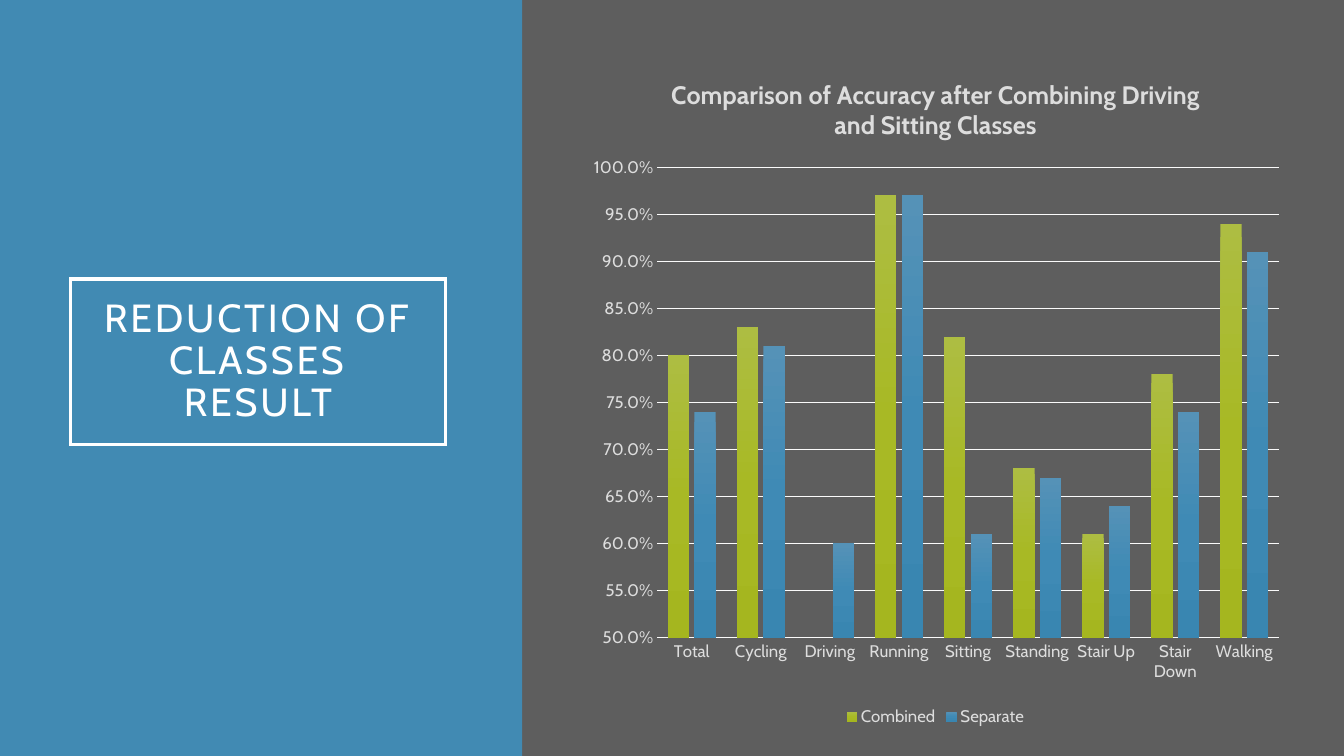
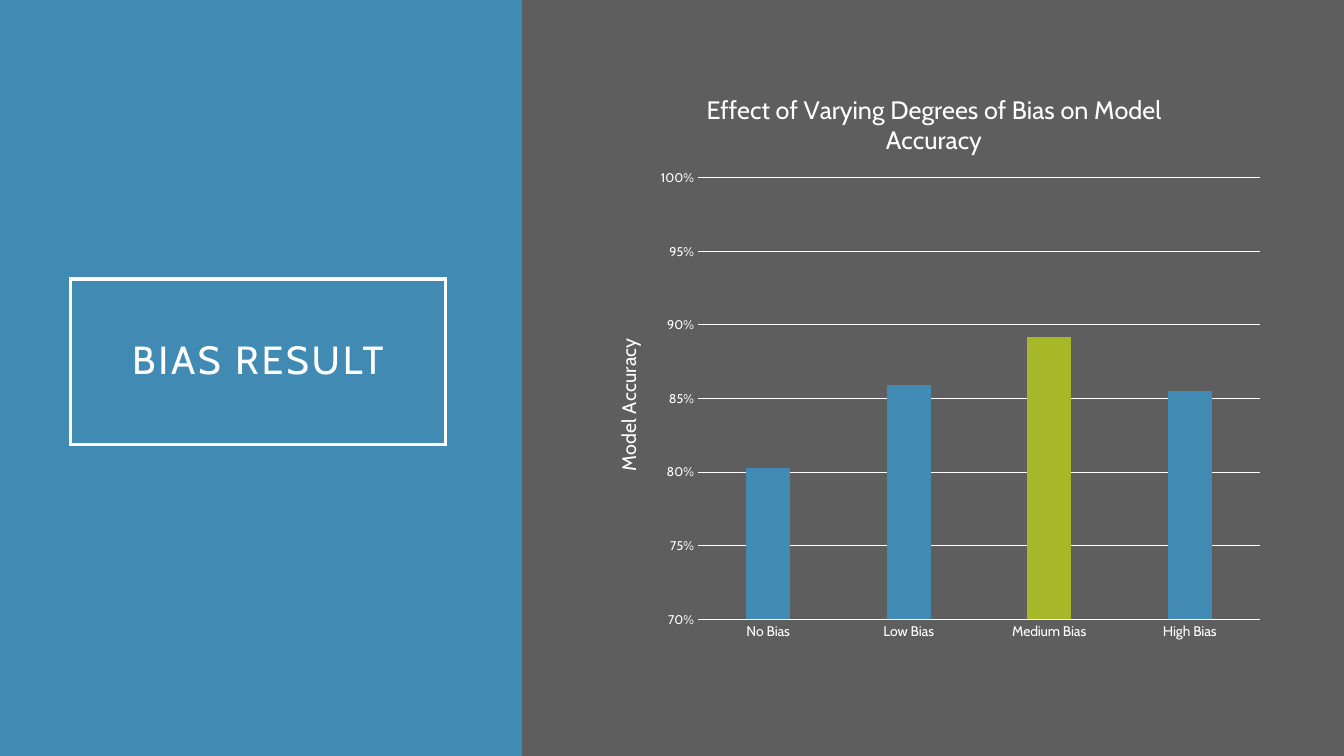
import copy

import pptx
import pptx.chart.data
import pptx.dml.color
import pptx.enum.chart
import pptx.enum.shapes
import pptx.enum.text
import pptx.oxml.ns
import pptx.util

Pt = pptx.util.Pt
RGB = pptx.dml.color.RGBColor
qn = pptx.oxml.ns.qn

FONT = "Cabin"
GREY = RGB(0x5E, 0x5E, 0x5E)
BLUE = RGB(0x41, 0x8A, 0xB3)
GREEN = RGB(0xA6, 0xB7, 0x27)
WHITE = RGB(0xFF, 0xFF, 0xFF)
SILVER = RGB(0xDD, 0xDD, 0xDD)
OFF_WHITE = RGB(0xFA, 0xFA, 0xFA)
GREEN_SHADES = (RGB(0xAD, 0xBD, 0x42), RGB(0xA8, 0xB9, 0x25), RGB(0xA5, 0xB6, 0x1F))
BLUE_SHADES = (RGB(0x55, 0x92, 0xB7), RGB(0x3F, 0x8A, 0xB5), RGB(0x39, 0x86, 0xB1))

SLIDE_W, SLIDE_H = 960, 540
PANEL_W = 373
TITLE_BOX = (50.4, 199.4, 267.8, 118)

# "box" and "plot" are left, top, width, height on the slide, in points.
SLIDES = [
    {
        "title": "REDUCTION OF CLASSES RESULT",
        "chart_title": "Comparison of Accuracy after Combining Driving and Sitting Classes",
        "title_bold": True,
        "box": (413.3, 38.2, 509.8, 483.8),
        "plot": (469.5, 119.5, 444, 336),
        "categories": ["Total", "Cycling", "Driving", "Running", "Sitting",
                       "Standing", "Stair Up", "Stair Down", "Walking"],
        "series": [
            ("Combined", GREEN_SHADES,
             [0.8, 0.83, None, 0.97, 0.82, 0.68, 0.61, 0.78, 0.94]),
            ("Separate", BLUE_SHADES,
             [0.74, 0.81, 0.6, 0.97, 0.61, 0.67, 0.64, 0.74, 0.91]),
        ],
        "highlights": {},
        "minimum": 0.5, "format": "0.0%", "axis_title": None, "legend": True,
        "gap": 100, "overlap": -24,
        "text": SILVER, "lines": OFF_WHITE, "category_size": 12, "value_size": 12,
    },
    {
        "title": "BIAS RESULT",
        "chart_title": "Effect of Varying Degrees of Bias on Model Accuracy",
        "title_bold": False,
        "box": (424.8, 50.4, 484.6, 415.4),
        "plot": (498.5, 127, 401.5, 315.5),
        "categories": ["No Bias", "Low Bias", "Medium Bias", "High Bias"],
        "series": [("Series 1", (BLUE,), [0.803, 0.859, 0.892, 0.855])],
        "highlights": {2: GREEN},
        "minimum": 0.7, "format": "0%", "axis_title": "Model Accuracy", "legend": False,
        "gap": 219, "overlap": -27,
        "text": WHITE, "lines": WHITE, "category_size": 10, "value_size": 9,
    },
]


def set_font(font, size, color, bold=False):
    font.name = FONT
    font.size = Pt(size)
    font.bold = bold
    font.color.rgb = color


def set_line(line, color, width):
    line.color.rgb = color
    line.width = Pt(width)


def set_solid(fill, color):
    fill.solid()
    fill.fore_color.rgb = color


def write(tf, text, size, color, bold=False):
    p = tf.paragraphs[0]
    r = p.add_run()
    r.text = text
    set_font(r.font, size, color, bold)
    return p, r


def add_panel(s):
    """Put the blue band behind everything else on the slide."""
    panel = s.shapes.add_shape(pptx.enum.shapes.MSO_SHAPE.RECTANGLE,
                               0, 0, Pt(PANEL_W), Pt(SLIDE_H))
    panel.shadow.inherit = False
    set_solid(panel.fill, BLUE)
    panel.line.fill.background()
    s.shapes._spTree.insert(2, panel._element)


def set_title(s, text):
    title = s.shapes.title
    title.left, title.top, title.width, title.height = map(Pt, TITLE_BOX)
    set_line(title.line, WHITE, 2.5)
    ln = title._element.spPr.find(qn("a:ln"))
    ln.append(ln.makeelement(qn("a:miter"), {"lim": "800000"}))
    tf = title.text_frame
    tf.word_wrap = True
    tf.auto_size = pptx.enum.text.MSO_AUTO_SIZE.NONE
    tf.vertical_anchor = pptx.enum.text.MSO_ANCHOR.MIDDLE
    tf.margin_left = tf.margin_right = tf.margin_top = tf.margin_bottom = Pt(14.4)
    p, r = write(tf, text, 28, WHITE)
    p.alignment = pptx.enum.text.PP_ALIGN.CENTER
    p.line_spacing = 0.9
    r.font._element.set("spc", "200")


def shade(series, colors):
    """Fill the bars with one colour, or with a gradient from top to bottom."""
    fill = series.format.fill
    if len(colors) == 1:
        set_solid(fill, colors[0])
        return
    fill.gradient()
    fill.gradient_angle = 270
    stops = series._element.spPr.find(".//" + qn("a:gsLst"))
    while len(stops) < len(colors):
        stops.append(copy.deepcopy(stops[0]))
    for i, (stop, color) in enumerate(zip(fill.gradient_stops, colors)):
        stop.position = i / (len(colors) - 1)
        stop.color.rgb = color


def place_plot(chart, box, plot):
    """Fix the inner plot area, as fractions of the chart's box."""
    left, top, width, height = box
    x, y, w, h = plot
    fractions = ((x - left) / width, (y - top) / height, w / width, h / height)
    area = chart._chartSpace.chart.plotArea
    layout = area.find(qn("c:layout"))
    if layout is None:
        layout = area.makeelement(qn("c:layout"), {})
        area.insert(0, layout)
    manual = layout.makeelement(qn("c:manualLayout"), {})
    layout.append(manual)
    settings = [("layoutTarget", "inner"), ("xMode", "edge"), ("yMode", "edge")]
    settings += zip("xywh", map(str, fractions))
    for name, value in settings:
        manual.append(manual.makeelement(qn("c:" + name), {"val": value}))


def format_axes(chart, spec):
    none = pptx.enum.chart.XL_TICK_MARK.NONE
    cat, val = chart.category_axis, chart.value_axis
    for axis, size in ((cat, spec["category_size"]), (val, spec["value_size"])):
        axis.major_tick_mark = axis.minor_tick_mark = none
        set_font(axis.tick_labels.font, size, spec["text"])
    set_line(cat.format.line, spec["lines"], 0.75)
    val.format.line.fill.background()
    val.has_major_gridlines = True
    set_line(val.major_gridlines.format.line, spec["lines"], 0.75)
    val.minimum_scale, val.maximum_scale, val.major_unit = spec["minimum"], 1, 0.05
    val.tick_labels.number_format = spec["format"]
    val.tick_labels.number_format_is_linked = False
    if spec["axis_title"]:
        tf = val.axis_title.text_frame
        write(tf, spec["axis_title"], 14, spec["text"])
        tf._txBody.bodyPr.set("rot", "-5400000")
        tf._txBody.bodyPr.set("vert", "horz")


def add_bar_chart(s, spec):
    data = pptx.chart.data.CategoryChartData(number_format=spec["format"])
    data.categories = spec["categories"]
    for name, _, values in spec["series"]:
        data.add_series(name, values)
    chart = s.shapes.add_chart(pptx.enum.chart.XL_CHART_TYPE.COLUMN_CLUSTERED,
                               *map(Pt, spec["box"]), data).chart
    set_font(chart.font, 10, WHITE)
    chart.has_title = True
    write(chart.chart_title.text_frame, spec["chart_title"], 18,
          spec["text"], spec["title_bold"])
    chart.chart_title.include_in_layout = False
    chart.has_legend = spec["legend"]
    if spec["legend"]:
        chart.legend.position = pptx.enum.chart.XL_LEGEND_POSITION.BOTTOM
        chart.legend.include_in_layout = False
        set_font(chart.legend.font, 12, spec["text"])
    plot = chart.plots[0]
    plot.vary_by_categories = False
    plot.gap_width, plot.overlap = spec["gap"], spec["overlap"]
    for series, (_, colors, _) in zip(plot.series, spec["series"]):
        series.invert_if_negative = False
        shade(series, colors)
        for i, color in spec["highlights"].items():
            set_solid(series.points[i].format.fill, color)
    format_axes(chart, spec)
    place_plot(chart, spec["box"], spec["plot"])


def main():
    prs = pptx.Presentation()
    prs.slide_width, prs.slide_height = Pt(SLIDE_W), Pt(SLIDE_H)
    set_solid(prs.slide_master.background.fill, GREY)
    for spec in SLIDES:
        s = prs.slides.add_slide(prs.slide_layouts.get_by_name("Title Only"))
        add_panel(s)
        set_title(s, spec["title"])
        add_bar_chart(s, spec)
    prs.save("out.pptx")


if __name__ == "__main__":
    main()
